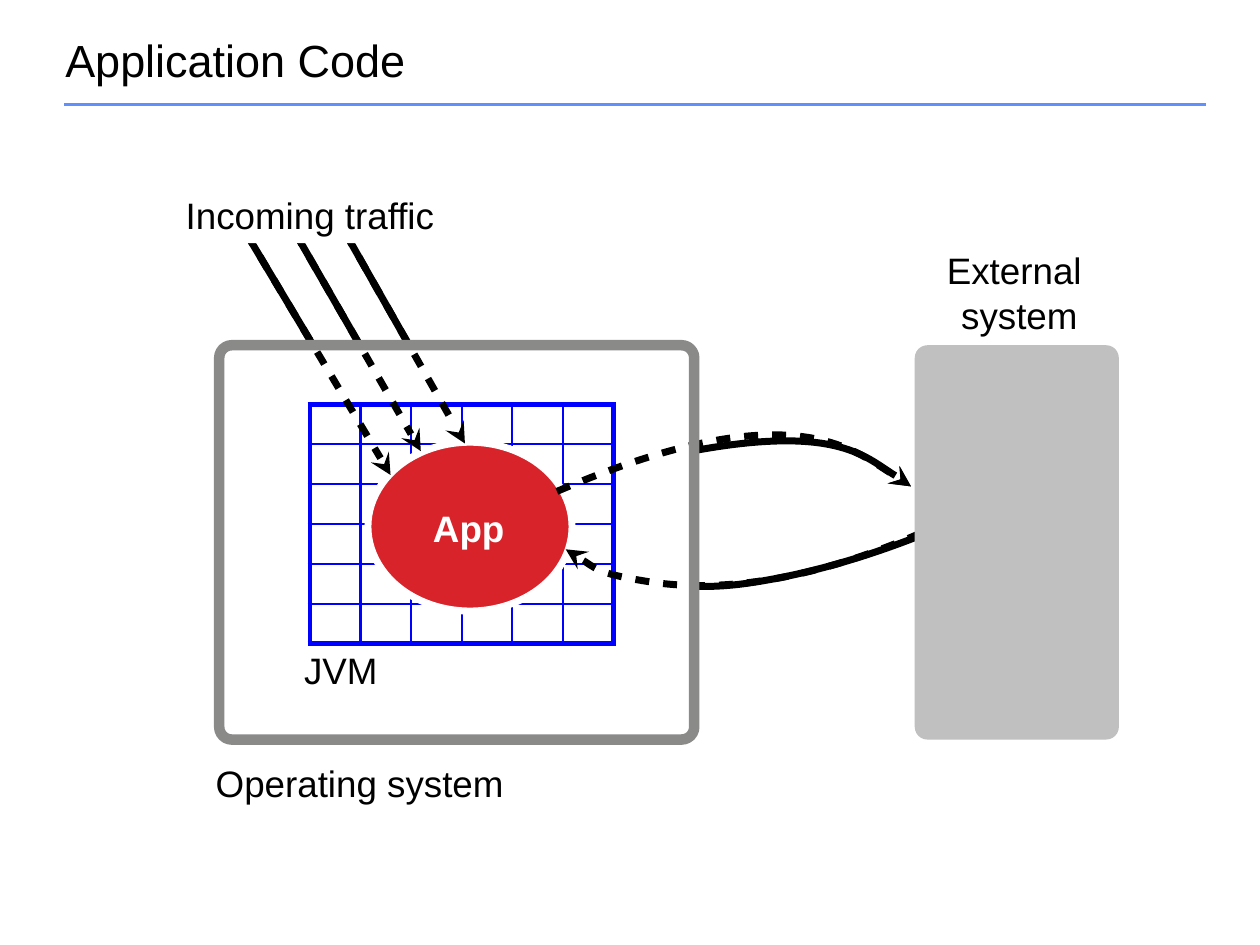
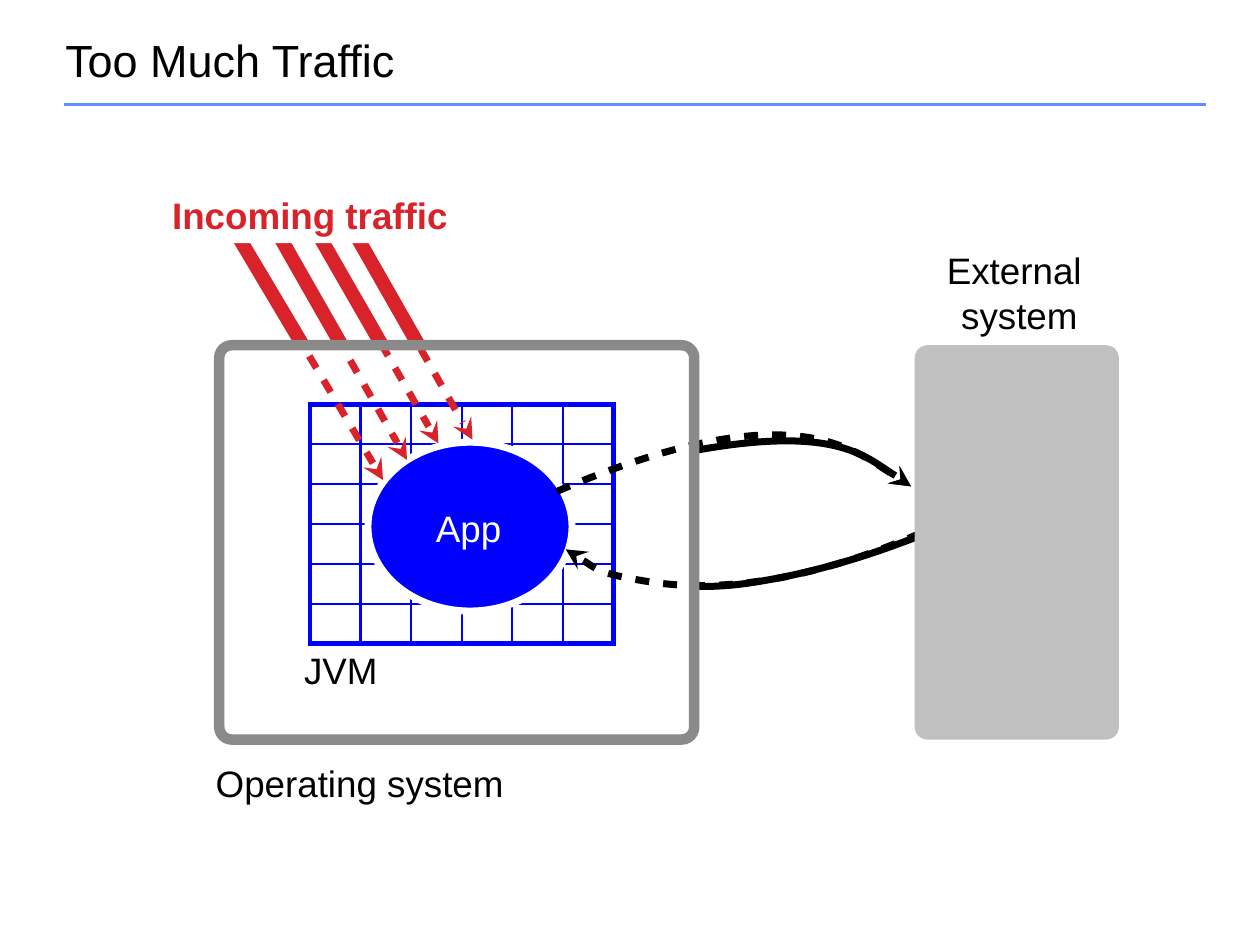
import math

import pptx
import pptx.util
import pptx.dml.color
import pptx.enum.shapes
import pptx.enum.text
import pptx.oxml
import pptx.oxml.ns
import lxml.etree

Inches, Pt = pptx.util.Inches, pptx.util.Pt
SHAPE = pptx.enum.shapes.MSO_SHAPE
STRAIGHT = pptx.enum.shapes.MSO_CONNECTOR.STRAIGHT
ALIGN, ANCHOR = pptx.enum.text.PP_ALIGN, pptx.enum.text.MSO_ANCHOR
qn = pptx.oxml.ns.qn

COLORS = {"black": "000000", "white": "FFFFFF", "red": "D8232A", "blue": "0000FF",
          "frame": "8A8A89", "external": "BFC0BF", "rule": "618FFD"}
FONT = "Arial"
LABEL_SIZE, TITLE_SIZE = 21, 25.7
GRID = 6
HOST_BOX = (1.74, 2.74, 3.77, 3.13)
EXTERNAL_BOX = (7.26, 2.74, 1.62, 3.13)
TRAFFIC_ORIGIN = (1.14, 1.32)
CALLS_ORIGIN = (4.42, 3.5)
OUT_ANGLE, BACK_ANGLE = 295.6, 115.5

# Bezier control points: a start, then three points for each segment
CALL_OUT = [(0, 0.4), (1.91, -0.42), (2.81, 0.36), (2.81, 0.36)]
CALL_BACK = [(2.89, 0.73), (1.93, 1.15), (1.22, 1.19), (0.75, 1.12),
             (0.29, 1.05), (0.07, 0.86), (0.07, 0.86)]
CALL_OUT_OUTSIDE = [(1.07, 0.08), (2.25, -0.14), (2.81, 0.36), (2.81, 0.36)]
CALL_BACK_OUTSIDE = [(2.91, 0.74), (2.36, 0.96), (1.9, 1.07), (1.57, 1.12),
                     (1.26, 1.17), (1.08, 1.15), (1.08, 1.15)]

SLIDES = [
    {"title": "Application Code", "app": "red", "app_bold": True,
     "traffic": {"color": "black", "bold": False, "width": 4, "arrows": [
         ((0.58, 0.14), (1.96, 2.45)), ((0.98, 0.14), (2.2, 2.26)),
         ((1.38, 0.14), (2.55, 2.2))]}},
    {"title": "Too Much Traffic", "app": "blue", "app_bold": False,
     "traffic": {"color": "red", "bold": True, "width": 8, "arrows": [
         ((0.52, 0.17), (1.9, 2.49)), ((0.87, 0.19), (2.09, 2.33)),
         ((1.11, 0.06), (2.34, 2.2)), ((1.43, 0.1), (2.61, 2.17))]}},
]


def rgb(name):
    return pptx.dml.color.RGBColor.from_string(COLORS[name])


def style_line(sp, color, width, dashed=False, arrow=False):
    sp.line.color.rgb = rgb(color)
    sp.line.width = Pt(width)
    ln = sp.element.spPr.find(qn("a:ln"))
    if dashed:
        dash = lxml.etree.SubElement(ln, qn("a:custDash"))
        lxml.etree.SubElement(dash, qn("a:ds"), d="200000", sp="200000")
    if arrow:
        lxml.etree.SubElement(ln, qn("a:tailEnd"), type="stealth")


def add_line(s, start, end, color, width, **style):
    sp = s.shapes.add_connector(STRAIGHT, *map(Inches, (*start, *end)))
    style_line(sp, color, width, **style)
    lxml.etree.SubElement(sp.element.spPr, qn("a:effectLst"))


def add_box(s, kind, box, fill=None, line=None, width=1, adj=None):
    sp = s.shapes.add_shape(kind, *map(Inches, box))
    sp.shadow.inherit = False
    if fill:
        sp.fill.solid()
        sp.fill.fore_color.rgb = rgb(fill)
    else:
        sp.fill.background()
    if line:
        style_line(sp, line, width)
    else:
        sp.line.fill.background()
    if adj is not None:
        sp.adjustments[0] = adj


def add_text(s, box, lines, color="black", size=LABEL_SIZE, bold=False, inset=(0.04, 0.04),
             anchor=ANCHOR.TOP, **paragraph):
    tf = s.shapes.add_textbox(*map(Inches, box)).text_frame
    dx, dy = map(Inches, inset)
    frame = {"word_wrap": True, "vertical_anchor": anchor, "margin_left": dx,
             "margin_right": dx, "margin_top": dy, "margin_bottom": dy}
    for name, value in frame.items():
        setattr(tf, name, value)
    for i, line in enumerate(lines):
        p = tf.add_paragraph() if i else tf.paragraphs[0]
        for name, value in ({"alignment": ALIGN.CENTER} | paragraph).items():
            setattr(p, name, value)
        r = p.add_run()
        r.text = line
        for name, value in {"name": FONT, "size": Pt(size), "bold": bold}.items():
            setattr(r.font, name, value)
        r.font.color.rgb = rgb(color)


def bezier_points(controls, steps=24):
    points = [controls[0]]
    for i in range(0, len(controls) - 1, 3):
        segment = controls[i:i + 4]
        for k in range(1, steps + 1):
            t = k / steps
            weights = ((1 - t) ** 3, 3 * t * (1 - t) ** 2, 3 * t * t * (1 - t), t ** 3)
            points.append(tuple(sum(w * c[axis] for w, c in zip(weights, segment))
                                for axis in (0, 1)))
    return points


def rotate(point, degrees):
    a = math.radians(degrees)
    x, y = point
    return x * math.cos(a) - y * math.sin(a), x * math.sin(a) + y * math.cos(a)


def unrotated(controls, angle):
    """Return the points that land on controls once their box is turned by angle."""
    turned = [rotate(c, -angle) for c in controls]
    middle = [(min(v) + max(v)) / 2 for v in zip(*bezier_points(turned))]
    center = rotate(middle, angle)
    return [(x - middle[0] + center[0], y - middle[1] + center[1]) for x, y in turned]


def add_curve(s, origin, controls, angle, **style):
    controls = unrotated([(origin[0] + x, origin[1] + y) for x, y in controls], angle)
    points = [tuple(map(Inches, point)) for point in bezier_points(controls)]
    builder = s.shapes.build_freeform(*points[0])
    builder.add_line_segments(points[1:], close=False)
    sp = builder.convert_to_shape()
    outline = sp.element.spPr.find(".//" + qn("a:path"))
    for segment in outline.findall(qn("a:lnTo")):
        outline.remove(segment)
    for i, (x, y) in enumerate(controls[1:]):
        if i % 3 == 0:
            curve = lxml.etree.SubElement(outline, qn("a:cubicBezTo"))
        lxml.etree.SubElement(curve, qn("a:pt"), x=str(Inches(x) - sp.left),
                              y=str(Inches(y) - sp.top))
    sp.rotation = angle
    sp.shadow.inherit = False
    sp.fill.background()
    style_line(sp, "black", 4, **style)


def header(s, title):
    add_line(s, (0.51, 0.83), (9.57, 0.83), "rule", 2)
    add_text(s, (0.42, 0.25, 9.17, 0.5), [title], size=TITLE_SIZE, inset=(0.1, 0.05),
             anchor=ANCHOR.MIDDLE, alignment=ALIGN.LEFT, line_spacing=0.9)


def set_borders(cell, sides):
    """Give the cell blue borders; sides maps L, R, T, B to widths in points."""
    tc_pr = cell._tc.get_or_add_tcPr()
    for i, (side, width) in enumerate(sides.items()):
        ln = pptx.oxml.parse_xml(
            f'<a:ln{side} {pptx.oxml.ns.nsdecls("a")} w="{Pt(width)}"><a:solidFill>'
            f'<a:srgbClr val="{COLORS["blue"]}"/></a:solidFill></a:ln{side}>')
        tc_pr.insert(i, ln)


def jvm_grid(s, box):
    table = s.shapes.add_table(GRID, GRID, *map(Inches, box)).table
    table.first_row = table.horz_banding = False
    for col in table.columns:
        col.width = Inches(box[2] / GRID)
    for row in table.rows:
        row.height = Inches(box[3] / GRID)
    thick = {True: 3, False: 1.5}
    last = GRID - 1
    for r in range(GRID):
        for c in range(GRID):
            cell = table.cell(r, c)
            cell.margin_left = cell.margin_right = cell.margin_top = cell.margin_bottom = 0
            cell.fill.background()
            set_borders(cell, {"L": thick[c == 0], "R": thick[c == last],
                               "T": thick[r == 0], "B": thick[r == last]})


def host_contents(s, box, app_color, app_bold):
    x, y = box[:2]
    jvm_grid(s, (x + 0.72, y + 0.47, 2.41, 1.9))
    add_box(s, SHAPE.OVAL, (x + 1.18, y + 0.77, 1.62, 1.34), app_color, "white", 4)
    add_text(s, (x - 0.34, y + 3.26, 2.91, 0.52), ["Operating system"])
    add_text(s, (x + 1.6, y + 1.23, 0.76, 0.52), ["App"], "white", bold=app_bold)
    add_text(s, (x + 0.55, y + 2.36, 0.83, 0.52), ["JVM"])


def external_system(s, box):
    x, y = box[:2]
    add_text(s, (x, y - 0.81, 1.58, 0.84), ["External", " system"])
    add_box(s, SHAPE.ROUNDED_RECTANGLE, box, "external", adj=0.062)


def external_calls(s, origin):
    """Draw calls dashed inside the host and solid outside it."""
    add_curve(s, origin, CALL_OUT, OUT_ANGLE, dashed=True, arrow=True)
    add_curve(s, origin, CALL_BACK, BACK_ANGLE, dashed=True, arrow=True)
    add_curve(s, origin, CALL_OUT_OUTSIDE, OUT_ANGLE, arrow=True)
    add_curve(s, origin, CALL_BACK_OUTSIDE, BACK_ANGLE)


def incoming_traffic(s, origin, host_top, color, bold, width, arrows):
    """Draw arrows that are solid down to the host's top edge and dashed below it."""
    x, y = origin
    for (x1, y1), (x2, y2) in arrows:
        start, end = (x + x1, y + y1), (x + x2, y + y2)
        share = (host_top - start[1]) / (end[1] - start[1])
        entry = (start[0] + share * (end[0] - start[0]), host_top)
        add_line(s, start, end, color, 4, dashed=True, arrow=True)
        add_line(s, start, entry, color, width)
    add_box(s, SHAPE.RECTANGLE, (x + 0.21, y, 1.68, 0.61), "white")
    add_text(s, (x, y + 0.17, 2.64, 0.52), ["Incoming traffic"], color, bold=bold)


def traffic_slide(prs, title, app, app_bold, traffic):
    s = prs.slides.add_slide(prs.slide_layouts[6])
    header(s, title)
    host_contents(s, HOST_BOX, app, app_bold)
    external_calls(s, CALLS_ORIGIN)
    external_system(s, EXTERNAL_BOX)
    incoming_traffic(s, TRAFFIC_ORIGIN, HOST_BOX[1], **traffic)
    add_box(s, SHAPE.ROUNDED_RECTANGLE, HOST_BOX, line="frame", width=6, adj=0.032)


def main():
    prs = pptx.Presentation()
    prs.slide_width, prs.slide_height = Inches(10), Inches(7.5)
    for content in SLIDES:
        traffic_slide(prs, **content)
    prs.save("out.pptx")


if __name__ == "__main__":
    main()
